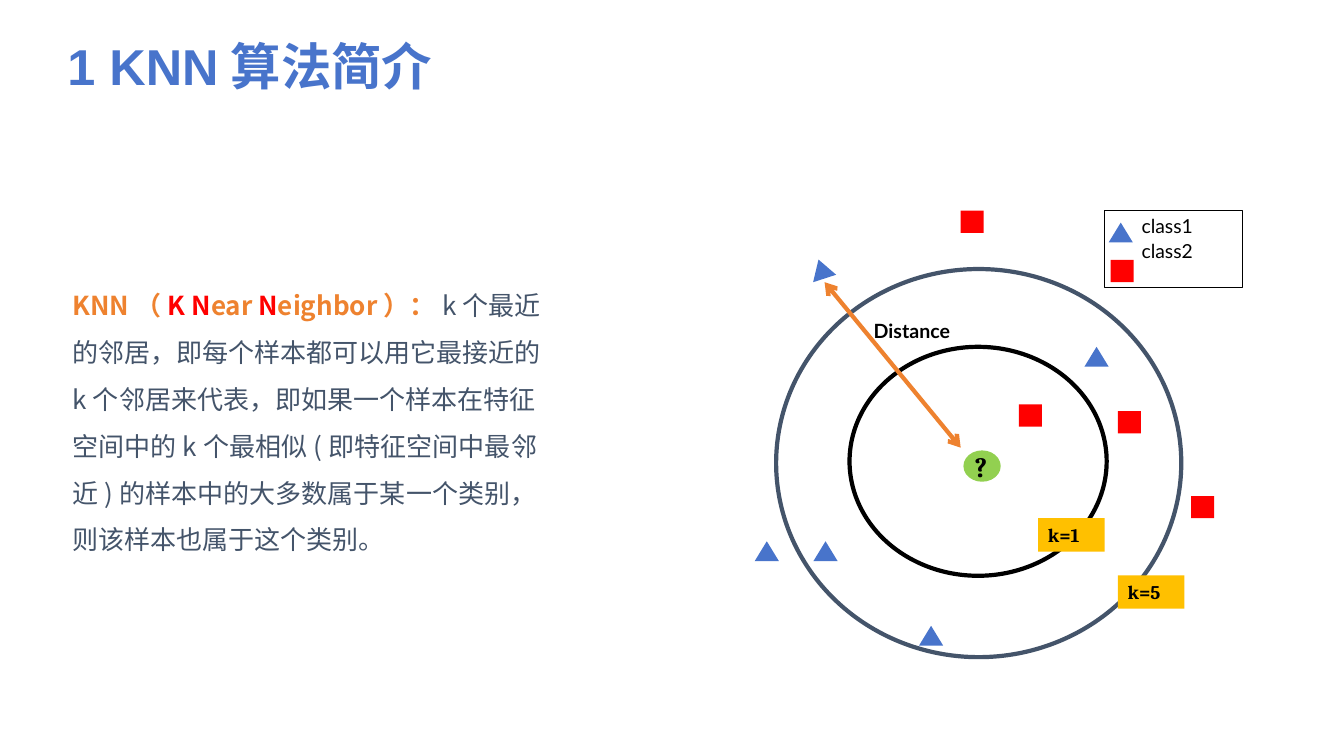
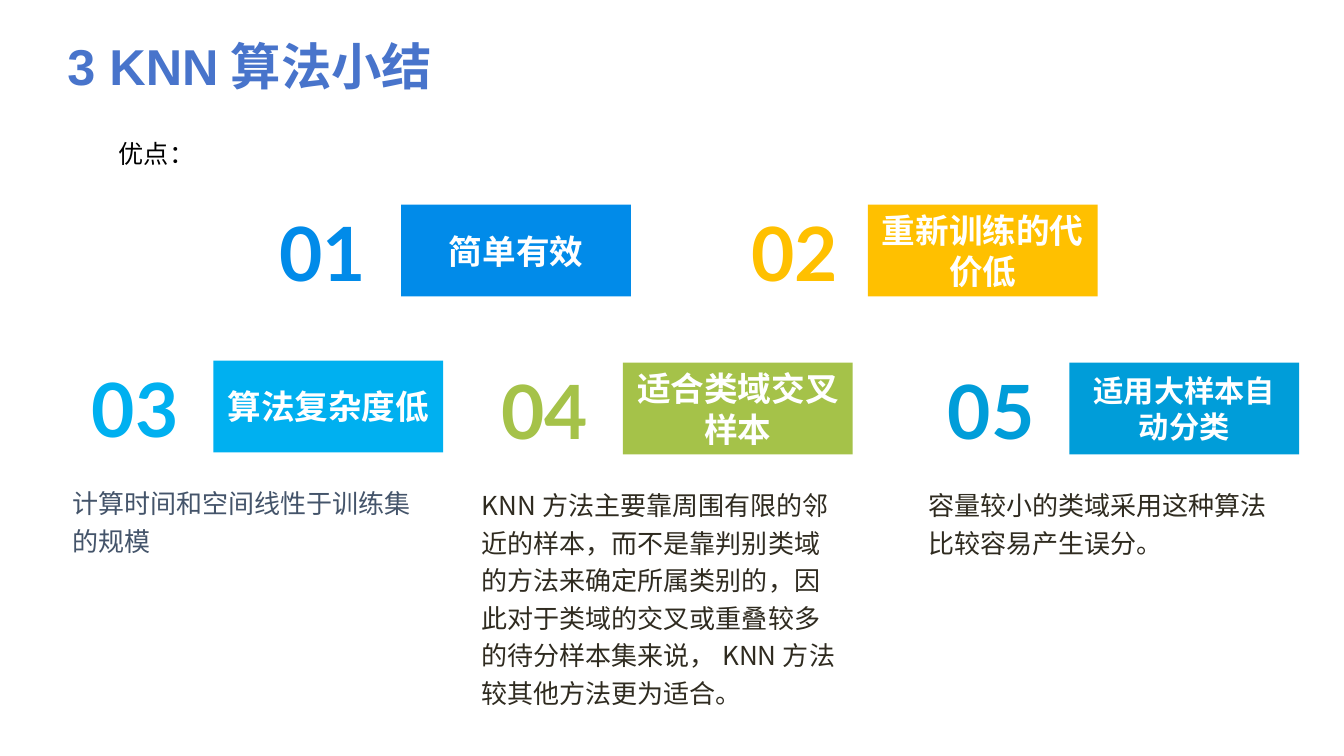
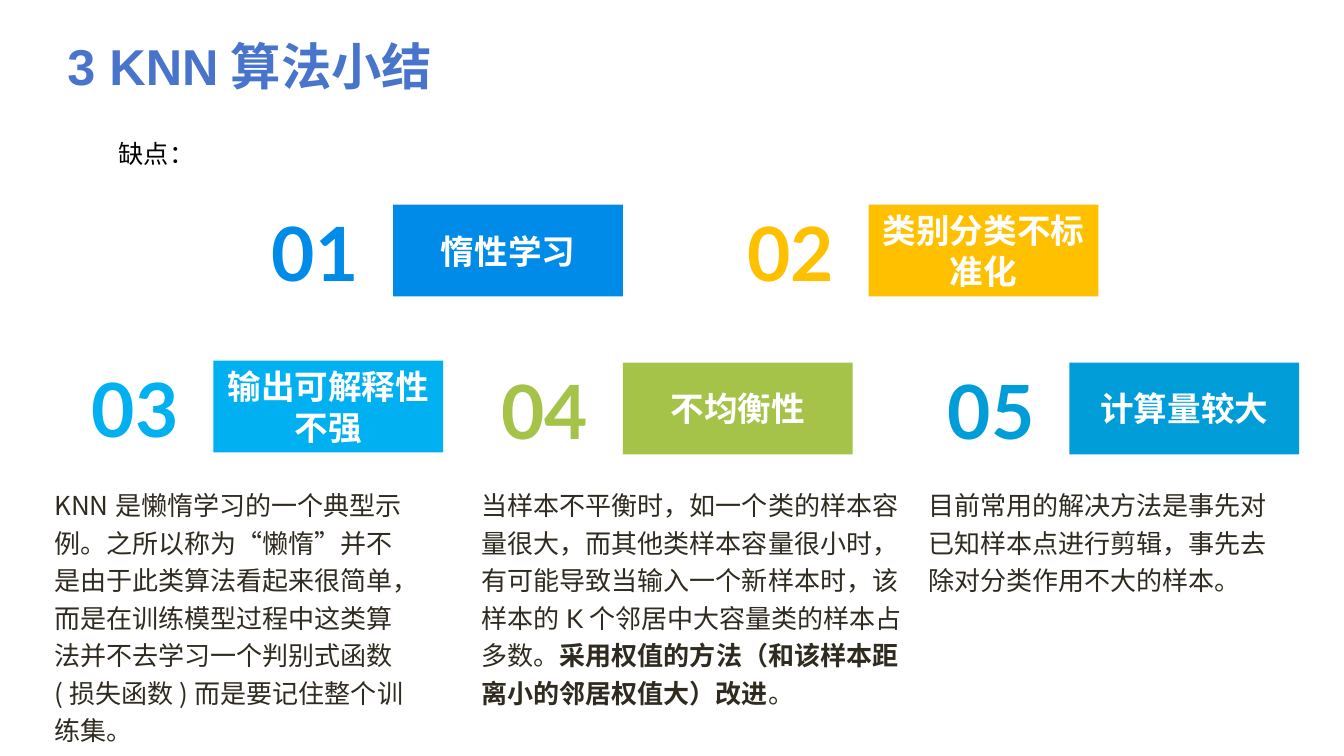
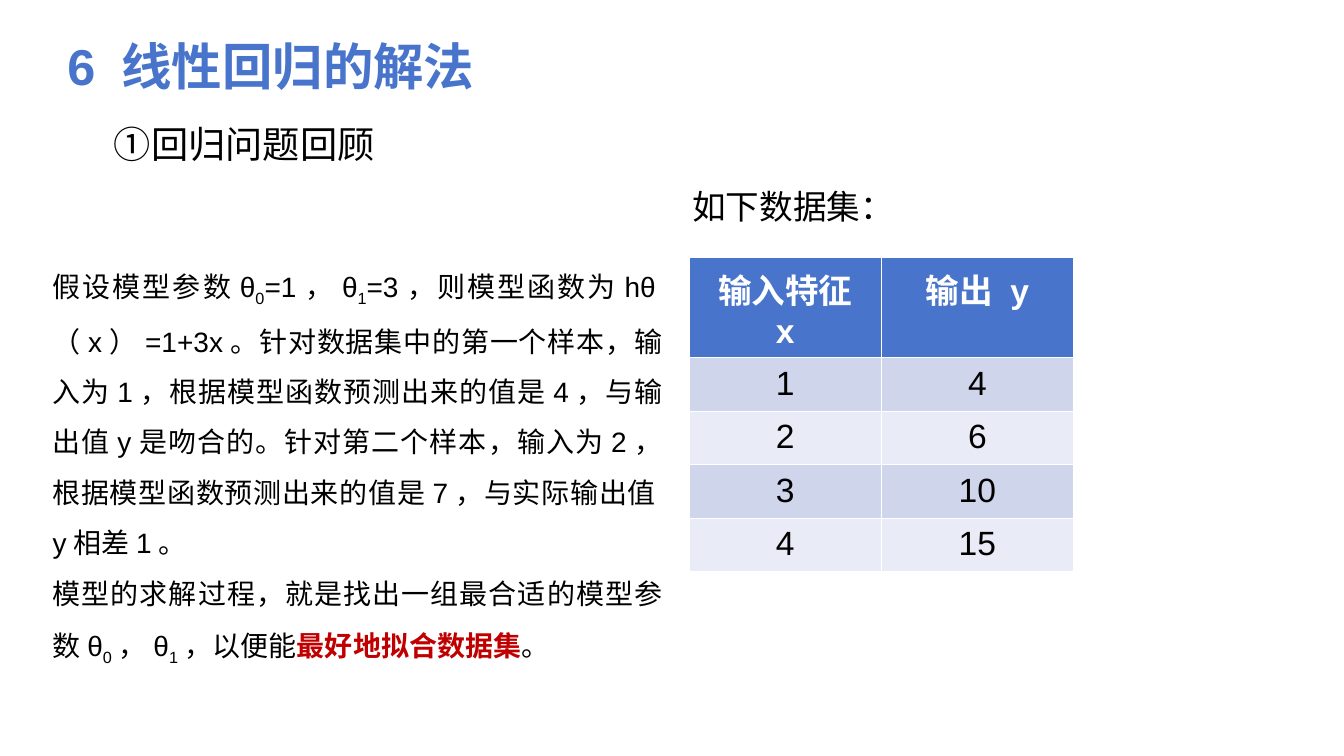
from lxml import etree
from pptx import Presentation
from pptx.dml.color import RGBColor
from pptx.enum.shapes import MSO_CONNECTOR, MSO_SHAPE as SHAPE
from pptx.enum.text import MSO_ANCHOR as ANCHOR, MSO_AUTO_SIZE, PP_ALIGN as ALIGN
from pptx.oxml.ns import qn
from pptx.util import Cm, Pt

COLORS = {
    "title": "4874CB", "black": "000000", "white": "FFFFFF", "slate": "44546A",
    "dark": "2F2B20", "red": "FF0000", "deep_red": "C00000", "orange": "EE822F",
    "green": "92D050", "gold": "FFC000", "blue": "018BE9", "sky": "00B0F0",
    "lime": "A5C249", "teal": "009DD9", "band1": "CFD6EC", "band2": "E9EBF6",
}
RGB = {name: RGBColor.from_string(value) for name, value in COLORS.items()}
CJK = "Noto Sans CJK SC"


def add(s, kind, at, fill=None, line=None, width=1):
    """Add a preset shape, or a text box when kind is None; at is in cm."""
    at = [Cm(v) for v in at]
    if kind is None:
        return s.shapes.add_textbox(*at)
    sp = s.shapes.add_shape(kind, *at)
    sp.shadow.inherit = False
    if fill:
        sp.fill.solid()
        sp.fill.fore_color.rgb = RGB[fill]
    else:
        sp.fill.background()
    if line:
        sp.line.color.rgb = RGB[line]
        sp.line.width = Pt(width)
    else:
        sp.line.fill.background()
    return sp


def write(tf, paras, name, size, color="black", bold=False, align=ALIGN.LEFT,
          spacing=None, anchor=ANCHOR.TOP, inset=None, wrap=True):
    """Fill a text frame; a paragraph is a string or a list of (text, changes)."""
    tf.word_wrap = wrap
    tf.auto_size = MSO_AUTO_SIZE.NONE
    tf.vertical_anchor = anchor
    if inset is not None:
        for side in ("left", "top", "right", "bottom"):
            setattr(tf, "margin_" + side, Cm(inset))
    for i, runs in enumerate(paras):
        p = tf.add_paragraph() if i else tf.paragraphs[0]
        p.alignment, p.line_spacing, p.space_before = align, spacing, Pt(0)
        pPr = p._p.get_or_add_pPr()
        pPr.set("marL", "0")
        pPr.set("indent", "0")
        etree.SubElement(pPr, qn("a:buNone"))
        for text, changes in [(runs, {})] if isinstance(runs, str) else runs:
            r = p.add_run()
            r.text = text
            look = {"name": name, "size": Pt(size), "bold": bold, "color": color, **changes}
            r.font.color.rgb = RGB[look.pop("color")]
            base = look.pop("base", None)
            for key, value in look.items():
                setattr(r.font, key, value)
            rPr = r._r.get_or_add_rPr()
            if base:
                rPr.set("baseline", str(base * 1000))
            etree.SubElement(rPr, qn("a:ea")).set("typeface", CJK)


# Presentation, shared title place and the four slides
prs = Presentation()
prs.slide_width, prs.slide_height = Cm(33.87), Cm(19.05)
TITLE_AT = {"left": 1.7, "top": 0.66, "width": 30.48, "height": 1.96}
for key, value in TITLE_AT.items():
    setattr(prs.slide_master.placeholders[0], key, Cm(value))

CONTENT, TITLE_ONLY = prs.slide_layouts[1], prs.slide_layouts[5]
slides = []
for layout, title in [(CONTENT, "1 KNN算法简介"), (TITLE_ONLY, "3 KNN算法小结"),
                      (TITLE_ONLY, "3 KNN算法小结"), (CONTENT, "6 线性回归的解法")]:
    s = prs.slides.add_slide(layout)
    write(s.shapes.title.text_frame, [title], "Arial", 36, "title", True,
          anchor=ANCHOR.MIDDLE, inset=0)
    slides.append(s)
intro, pros, cons, regression = slides

# Body placeholders
sub = {"base": -25}
bodies = [
    (intro, (1.57, 6.78, 12.8, 7.44), [[
        ("KNN（", {}), ("K N", {"color": "red"}), ("ear ", {}), ("N", {"color": "red"}),
        ("eighbor）：", {}),
        ("k个最近的邻居，即每个样本都可以用它最接近的k个邻居来代表，即如果一个样本在特征空间中的k个最相似"
         "(即特征空间中最邻近)的样本中的大多数属于某一个类别，则该样本也属于这个类别。",
         {"color": "slate", "bold": False})]],
     {"name": CJK, "size": 18.6, "color": "orange", "bold": True}),
    (regression, (1.07, 6.17, 15.88, 9.22), [
        [("假设模型参数θ", {}), ("0", sub), ("=1，θ", {}), ("1", sub),
         ("=3，则模型函数为hθ（x）=1+3x。针对数据集中的第一个样本，输入为1，根据模型函数预测出来的值是4，"
          "与输出值y是吻合的。针对第二个样本，输入为2，根据模型函数预测出来的值是7，与实际输出值y相差1。", {})],
        [("模型的求解过程，就是找出一组最合适的模型参数θ", {}), ("0", sub), ("，θ", {}),
         ("1", sub), ("，以便能", {}),
         ("最好地拟合数据集", {"color": "deep_red", "bold": True}), ("。", {})]],
     {"name": "Arial", "size": 20, "align": ALIGN.JUSTIFY}),
]
for s, at, paras, look in bodies:
    body = s.placeholders[1]
    body.left, body.top, body.width, body.height = [Cm(v) for v in at]
    write(body.text_frame, paras, spacing=1.5, **look)

# Slide 1: neighbourhood circles and samples
s = intro
add(s, SHAPE.OVAL, (19.56, 6.78, 10.21, 9.78), line="slate", width=3)
add(s, SHAPE.OVAL, (21.41, 8.74, 6.48, 5.77), line="black", width=3)
for x, y, turn in [(27.33, 8.74, 0), (20.5, 13.64, 0), (19.02, 13.64, 0),
                   (20.4, 6.53, 342), (27.94, 5.61, 0), (23.16, 15.77, 0)]:
    sp = add(s, SHAPE.FLOWCHART_EXTRACT, (x, y, 0.61, 0.5), "title")
    sp.rotation = turn
for x, y in [(30.02, 12.5), (24.21, 5.31), (28.17, 10.36), (27.99, 6.55), (25.68, 10.19)]:
    add(s, SHAPE.RECTANGLE, (x, y, 0.58, 0.56), "red")
add(s, SHAPE.OVAL, (24.28, 11.35, 0.94, 0.79), "green")

# Slide 1: distance arrow
line = s.shapes.add_connector(MSO_CONNECTOR.STRAIGHT, Cm(24.21), Cm(11.28), Cm(20.78), Cm(7.11))
line.line.color.rgb = RGB["orange"]
line.line.width = Pt(3)
for end in ("a:headEnd", "a:tailEnd"):
    etree.SubElement(line.line._get_or_add_ln(), qn(end)).set("type", "arrow")
etree.SubElement(line._element.spPr, qn("a:effectLst"))

# Slide 1: labels and legend
add(s, SHAPE.RECTANGLE, (27.84, 5.31, 3.48, 1.93), line="black")
for kind, at, fill, paras, look in [
    (None, (24.31, 11.2, 2.11, 1.12), None, ["?"], {"name": "Cambria", "size": 20, "bold": True}),
    (None, (21.77, 7.9, 3.15, 0.86), None, ["Distance"], {"name": "Lato", "size": 14, "bold": True}),
    (SHAPE.RECTANGLE, (28.17, 14.5, 1.68, 0.84), "gold", ["k=5"],
     {"name": "Cambria", "size": 13.8, "bold": True}),
    (SHAPE.RECTANGLE, (26.16, 13.06, 1.68, 0.84), "gold", ["k=1"],
     {"name": "Cambria", "size": 13.8, "bold": True}),
    (None, (28.52, 5.21, 3.35, 1.55), None, ["class1", "class2"],
     {"name": "Lato", "size": 13.8, "spacing": 1.1}),
]:
    write(add(s, kind, at, fill).text_frame, paras, **look)

# Slides 2 and 3: numbered cards as (number x, card x, heading, heading size)
CARD_COLORS = ["blue", "gold", "sky", "lime", "teal"]
CARD_TOPS = [5.16, 5.16, 9.09, 9.14, 9.14]
summaries = [
    (pros, "优点：",
     [(6.3, 10.11, "简单有效", 24), (18.19, 21.87, "重新训练的代价低", 24),
      (1.57, 5.38, "算法复杂度低", 24), (11.89, 15.7, "适合类域交叉样本", 24),
      (23.14, 26.95, "适用大样本自动分类", 21.6)],
     [(1.57, 12.01, 9.6, CJK, "slate", "计算时间和空间线性于训练集的规模"),
      (11.89, 12.06, 9.6, CJK, "dark",
       "KNN方法主要靠周围有限的邻近的样本，而不是靠判别类域的方法来确定所属类别的，"
       "因此对于类域的交叉或重叠较多的待分样本集来说，KNN方法较其他方法更为适合。"),
      (23.14, 12.06, 9.6, CJK, "dark", "容量较小的类域采用这种算法比较容易产生误分。")]),
    (cons, "缺点：",
     [(6.1, 9.91, "惰性学习", 24), (18.08, 21.89, "类别分类不标准化", 24),
      (1.57, 5.38, "输出可解释性不强", 24), (11.89, 15.7, "不均衡性", 24),
      (23.14, 26.95, "计算量较大", 24)],
     [(1.12, 12.06, 9.4, "Noto Sans CJK JP", "dark",
       "KNN是懒惰学习的一个典型示例。之所以称为“懒惰”并不是由于此类算法看起来很简单，"
       "而是在训练模型过程中这类算法并不去学习一个判别式函数(损失函数)而是要记住整个训练集。"),
      (11.89, 12.06, 11.25, "Lato", "dark", [
          ("当样本不平衡时，如一个类的样本容量很大，而其他类样本容量很小时，"
           "有可能导致当输入一个新样本时，该样本的K个邻居中大容量类的样本占多数。", {}),
          ("采用权值的方法（和该样本距离小的邻居权值大）改进", {"bold": True}), ("。", {})]),
      (23.14, 12.06, 9.6, "Lato", "dark",
       "目前常用的解决方法是事先对已知样本点进行剪辑，事先去除对分类作用不大的样本。")]),
]
centred = {"bold": True, "align": ALIGN.CENTER, "anchor": ANCHOR.MIDDLE}
for s, label, cards, notes in summaries:
    write(add(s, None, (2.74, 3.35, 5.31, 1.02)).text_frame, [label], "Arial", 18)
    for i, (num_x, x, heading, size) in enumerate(cards):
        color, y = CARD_COLORS[i], CARD_TOPS[i]
        sp = add(s, SHAPE.RECTANGLE, (x, y, 5.79, 2.31), color)
        write(sp.text_frame, [heading], CJK, size, "white", **centred)
        sp = add(s, None, (num_x, y - 0.54, 3.68, 3.43))
        write(sp.text_frame, [f"{i + 1:02}"], "Lato", 53.4, color, inset=0, **centred)
    for x, y, w, name, color, text in notes:
        sp = add(s, None, (x, y, w, 2.72))
        write(sp.text_frame, [text], name, 18.6, color, spacing=1.2)

# Slide 4: headings
s = regression
write(add(s, None, (17.2, 4.55, 9.4, 1.27)).text_frame, ["如下数据集："], "Arial", 24)
write(add(s, None, (2.62, 2.92, 7.11, 1.4)).text_frame, ["①回归问题回顾"], "Calibri", 26.6,
      wrap=False)

# Slide 4: data table
rows = [("输入特征 x", "输出 y"), ("1", "4"), ("2", "6"), ("3", "10"), ("4", "15")]
table = s.shapes.add_table(len(rows), 2, Cm(17.37), Cm(6.48), Cm(9.68), Cm(7.66)).table
for i, row in enumerate(rows):
    table.rows[i].height = Cm(1.35 if i else 2.26)
    fill = ("band1" if i % 2 else "band2") if i else "title"
    for j, text in enumerate(row):
        cell = table.cell(i, j)
        cell.fill.solid()
        cell.fill.fore_color.rgb = RGB[fill]
        write(cell.text_frame, [text], "Arial", 24, "black" if i else "white", not i,
              ALIGN.CENTER)
        cell.margin_left = cell.margin_right = Cm(0.33)
        cell.margin_top = cell.margin_bottom = Cm(0.18)

prs.save("out.pptx")
